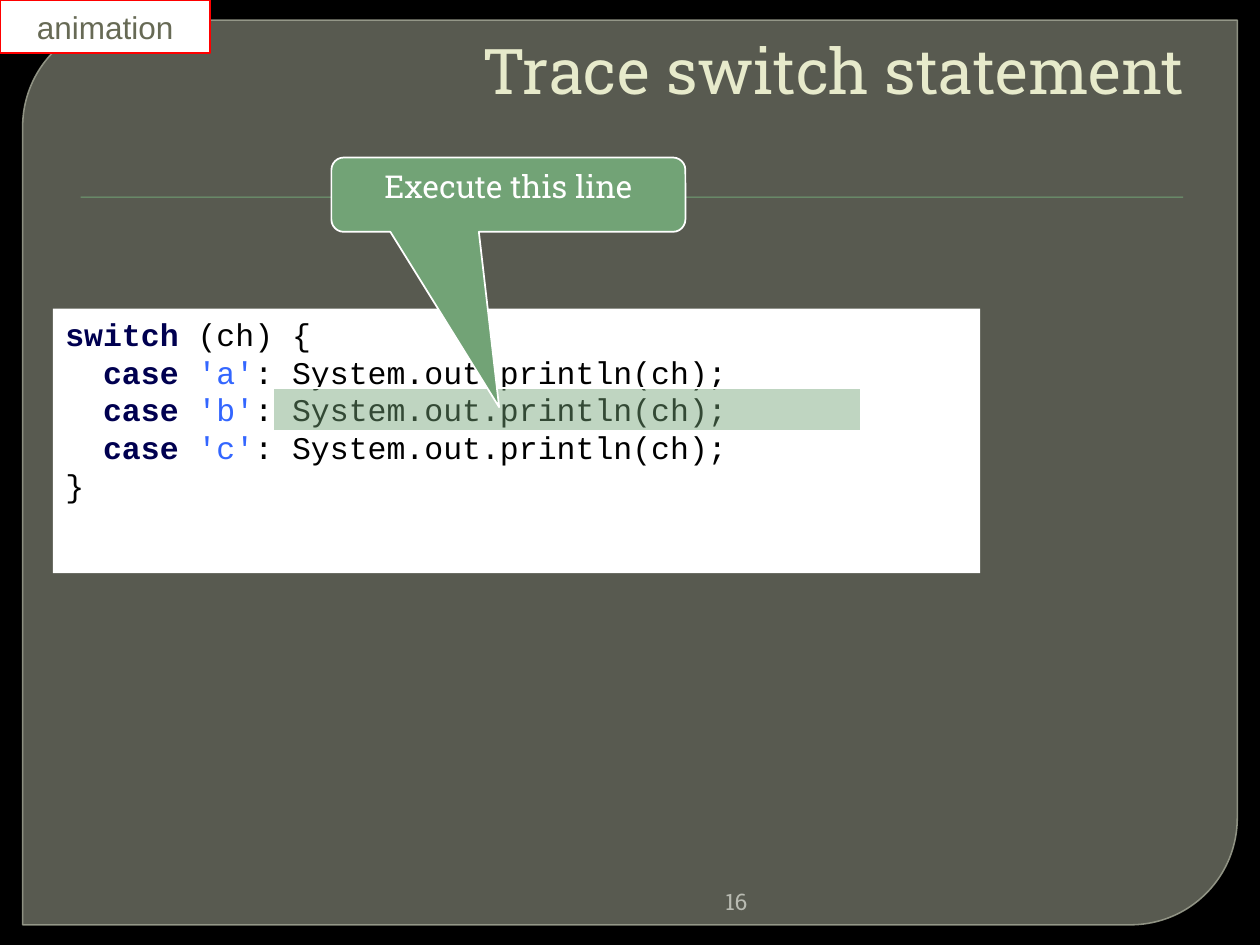
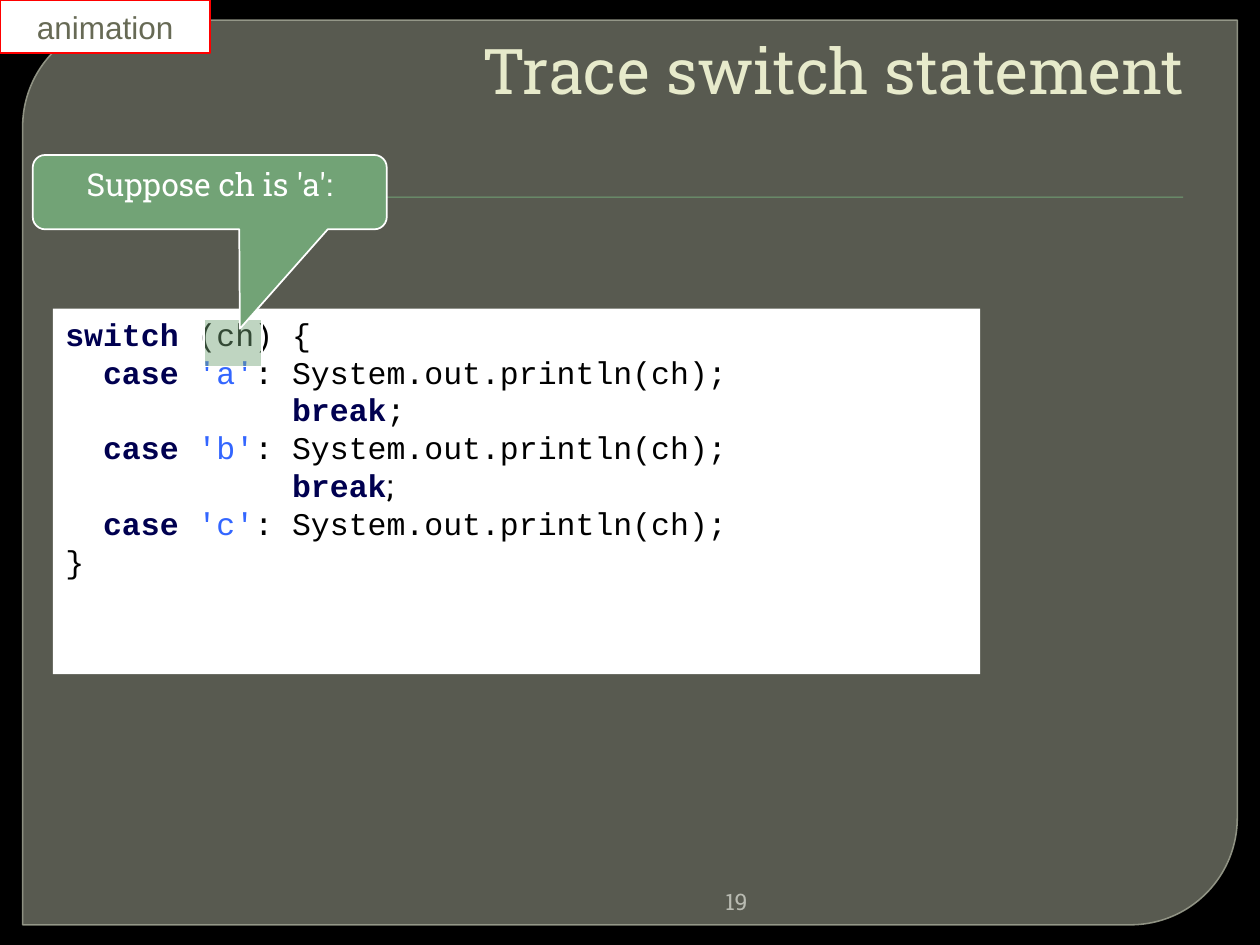
import pptx
import pptx.util
import pptx.dml.color
import pptx.enum.shapes
import pptx.enum.text
import pptx.oxml
import pptx.oxml.ns
from dataclasses import dataclass

Inches = pptx.util.Inches
SHAPE = pptx.enum.shapes.MSO_SHAPE
ALIGN = pptx.enum.text.PP_ALIGN
ANCHOR = pptx.enum.text.MSO_ANCHOR


@dataclass(frozen=True)
class Theme:
    # Colours
    background: str = "000000"
    panel: str = "888B7B"
    panel_edge: str = "9DA090"
    accent: str = "72A376"
    title: str = "E7EACB"
    number: str = "B9BBB2"
    white: str = "FFFFFF"
    tag_edge: str = "FF0000"
    tag_text: str = "676A55"
    keyword: str = "000050"
    literal: str = "3366FF"
    code: str = "000000"
    # Fonts and sizes
    serif: str = "Roboto Slab"
    sans: str = "Arial"
    mono: str = "Courier New"
    title_size: int = 36
    body_size: int = 18
    number_size: int = 13
    # Width of one monospaced character at body size, in inches
    column: float = 0.15


def paint(color_format, color, opacity=100):
    """Set a colour and, when below 100, its opacity in percent."""
    color_format.rgb = pptx.dml.color.RGBColor.from_string(color)
    if opacity < 100:
        holder = color_format._xFill.find(pptx.oxml.ns.qn("a:srgbClr"))
        holder.append(pptx.oxml.parse_xml(
            f'<a:alpha {pptx.oxml.ns.nsdecls("a")} val="{opacity * 1000}"/>'))


def add_span(para, text, *, font, size, color, bold=False):
    span = para.add_run()
    span.text = text
    span.font.name = font
    span.font.size = pptx.util.Pt(size)
    span.font.bold = bold
    paint(span.font.color, color)


class TraceDeck:
    """Holds the theme, the deck and the current page."""

    def __init__(self, theme):
        self.theme = theme
        self.deck = pptx.Presentation()
        self.deck.slide_width = Inches(10)
        self.deck.slide_height = Inches(7.5)
        self.page = None

    def shape(self, kind, left, top, width, height, fill, *, opacity=100,
              line=None, line_width=1, line_opacity=100, adjustments=()):
        box = self.page.shapes.add_shape(
            kind, Inches(left), Inches(top), Inches(width), Inches(height))
        box.shadow.inherit = False
        for index, value in enumerate(adjustments):
            box.adjustments[index] = value
        box.fill.solid()
        paint(box.fill.fore_color, fill, opacity)
        if line:
            box.line.width = pptx.util.Pt(line_width)
            box.line.fill.solid()
            paint(box.line.color, line, line_opacity)
        else:
            box.line.fill.background()
        return box

    def set_text(self, box, text, *, align, anchor=ANCHOR.TOP, wrap=True,
                 **style):
        frame = box.text_frame
        frame.word_wrap = wrap
        frame.vertical_anchor = anchor
        frame.paragraphs[0].alignment = align
        add_span(frame.paragraphs[0], text, **style)

    def label(self, left, top, width, height, text, **style):
        box = self.page.shapes.add_textbox(
            Inches(left), Inches(top), Inches(width), Inches(height))
        self.set_text(box, text, font=self.theme.serif, align=ALIGN.RIGHT,
                      **style)

    def start_page(self, title, number):
        theme = self.theme
        self.page = self.deck.slides.add_slide(self.deck.slide_layouts[6])
        self.page.background.fill.solid()
        paint(self.page.background.fill.fore_color, theme.background)
        # Panel and rule
        self.shape(SHAPE.ROUND_2_DIAG_RECTANGLE, 0.18, 0.16, 9.64, 7.18,
                   theme.panel, opacity=65, line=theme.panel_edge,
                   line_width=0.87, line_opacity=88, adjustments=(0.118, 0))
        self.shape(SHAPE.RECTANGLE, 0.64, 1.56, 8.75, 0.01, theme.accent)
        # Page number and title
        self.label(1.42, 7, 4.61, 0.3, str(number),
                   size=theme.number_size, color=theme.number)
        self.label(0.75, 0.35, 8.75, 0.55, title, anchor=ANCHOR.BOTTOM,
                   size=theme.title_size, color=theme.title)

    def code(self, height, lines):
        """Each line is (indent in columns, [(text, kind), ...])."""
        theme = self.theme
        styles = {
            "keyword": dict(font=theme.mono, color=theme.keyword, bold=True),
            "literal": dict(font=theme.mono, color=theme.literal),
            "plain": dict(font=theme.mono, color=theme.code),
            "serif": dict(font=theme.serif, color=theme.code),
        }
        box = self.shape(SHAPE.RECTANGLE, 0.42, 2.45, 7.36, height, theme.white)
        frame = box.text_frame
        frame.word_wrap = True
        frame.vertical_anchor = ANCHOR.TOP
        for index, (indent, spans) in enumerate(lines):
            para = frame.add_paragraph() if index else frame.paragraphs[0]
            para.alignment = ALIGN.LEFT
            if indent:
                margin = Inches(indent * theme.column)
                para._p.get_or_add_pPr().set("marL", str(margin))
            for text, kind in spans:
                add_span(para, text, size=theme.body_size, **styles[kind])

    def highlight(self, left, top, width, height):
        self.shape(SHAPE.RECTANGLE, left, top, width, height,
                   self.theme.accent, opacity=45, line=self.theme.white)

    def callout(self, left, top, text, tip):
        theme = self.theme
        box = self.shape(SHAPE.ROUNDED_RECTANGULAR_CALLOUT, left, top, 2.81,
                         0.59, theme.accent, line=theme.white,
                         adjustments=(*tip, 0.167))
        self.set_text(box, text, align=ALIGN.CENTER, font=theme.serif,
                      size=theme.body_size, color=theme.white)

    def tag(self, text):
        theme = self.theme
        box = self.shape(SHAPE.RECTANGLE, 0, 0, 1.67, 0.42, theme.white,
                         line=theme.tag_edge)
        self.set_text(box, text, align=ALIGN.CENTER, anchor=ANCHOR.MIDDLE,
                      wrap=False, font=theme.sans, size=theme.body_size,
                      color=theme.tag_text)


# Code lines
def case_line(letter):
    return 2, [("case ", "keyword"), (f"'{letter}'", "literal"),
               (": System.out.println(ch);", "plain")]


def break_line(end_kind="plain"):
    return 12, [("break", "keyword"), (";", end_kind)]


SWITCH_LINE = 0, [("switch", "keyword"), (" (ch) {", "plain")]
END_LINE = 0, [("}", "plain")]
TITLE = "Trace switch statement"
TAG = "animation"

trace = TraceDeck(Theme())

# Switch without breaks
trace.start_page(TITLE, 16)
trace.code(2.1, [SWITCH_LINE, *map(case_line, "abc"), END_LINE])
trace.highlight(2.17, 3.08, 4.66, 0.34)
trace.callout(2.63, 1.25, "Execute this line", (-0.026, 2.858))
trace.tag(TAG)

# Switch with breaks
trace.start_page(TITLE, 19)
trace.code(2.9, [SWITCH_LINE, case_line("a"), break_line(),
                 case_line("b"), break_line("serif"), case_line("c"), END_LINE])
trace.highlight(1.62, 2.53, 0.46, 0.38)
trace.callout(0.26, 1.23, "Suppose ch is 'a':", (0.085, 1.837))
trace.tag(TAG)

trace.deck.save("out.pptx")
